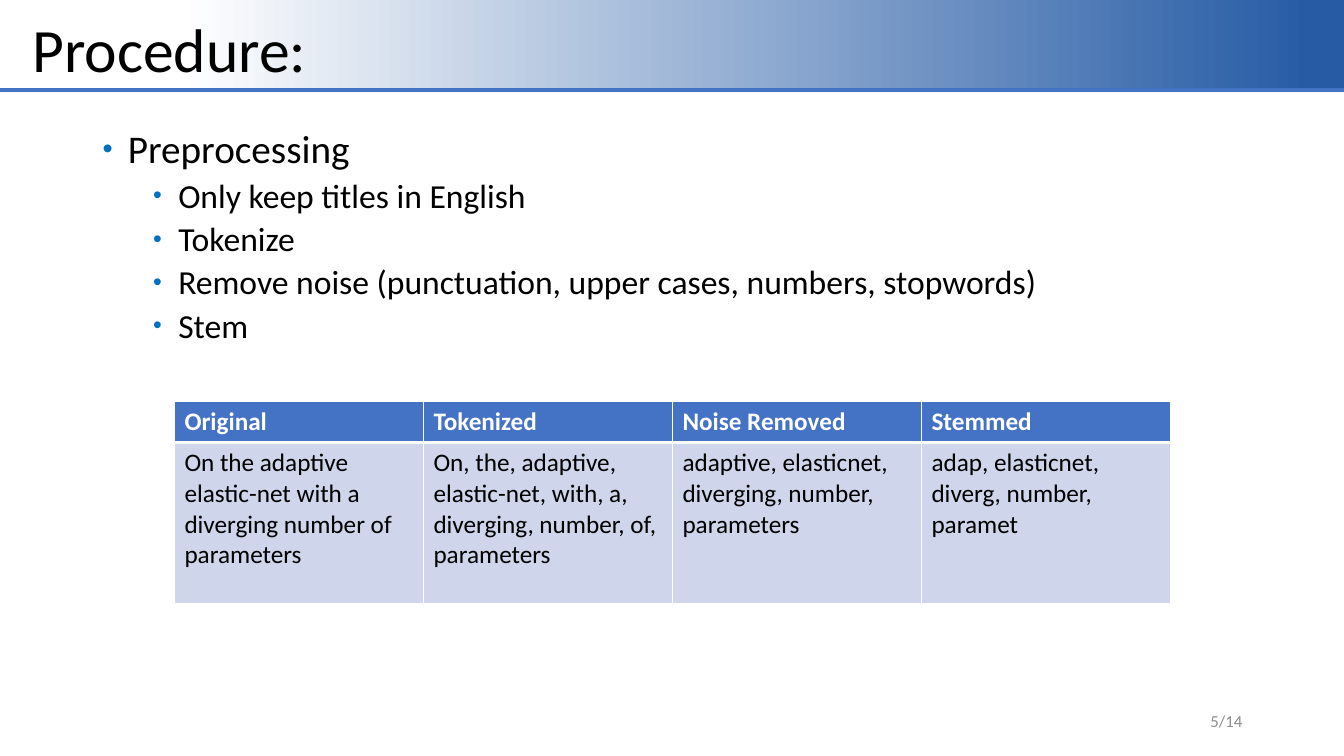
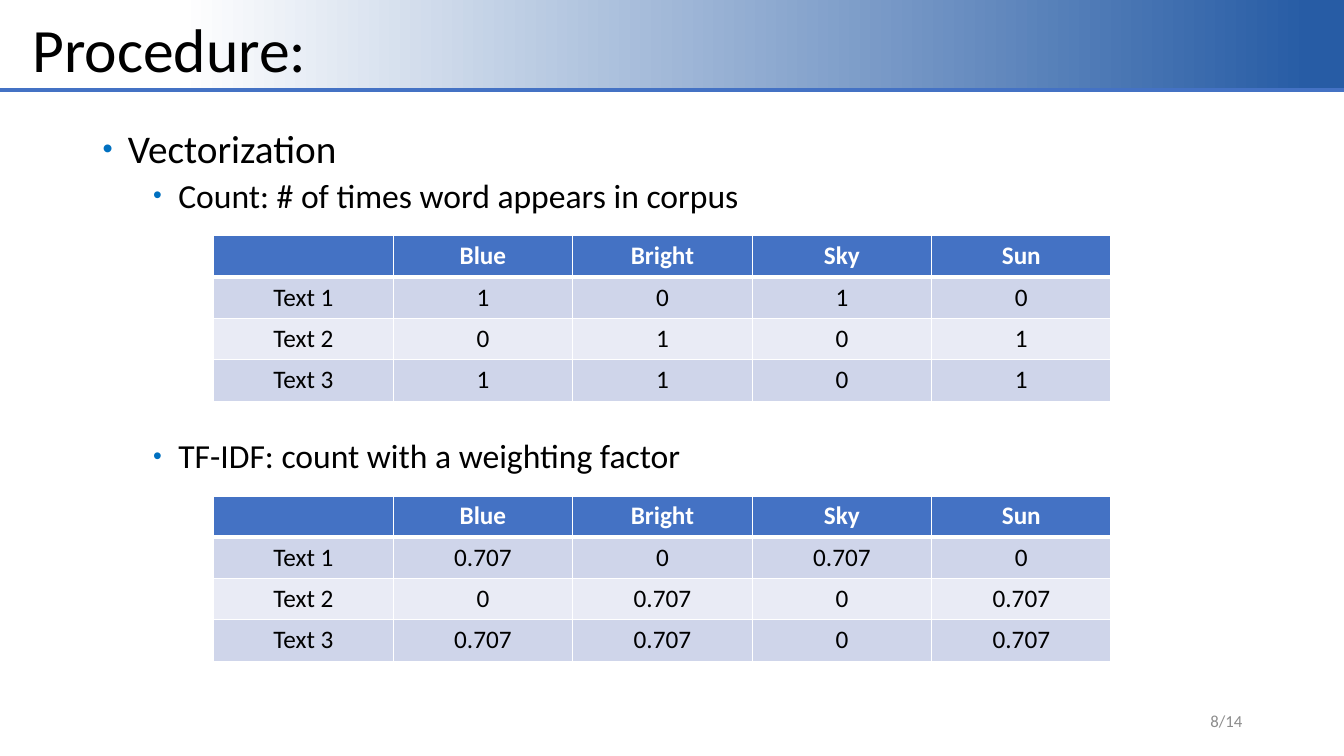
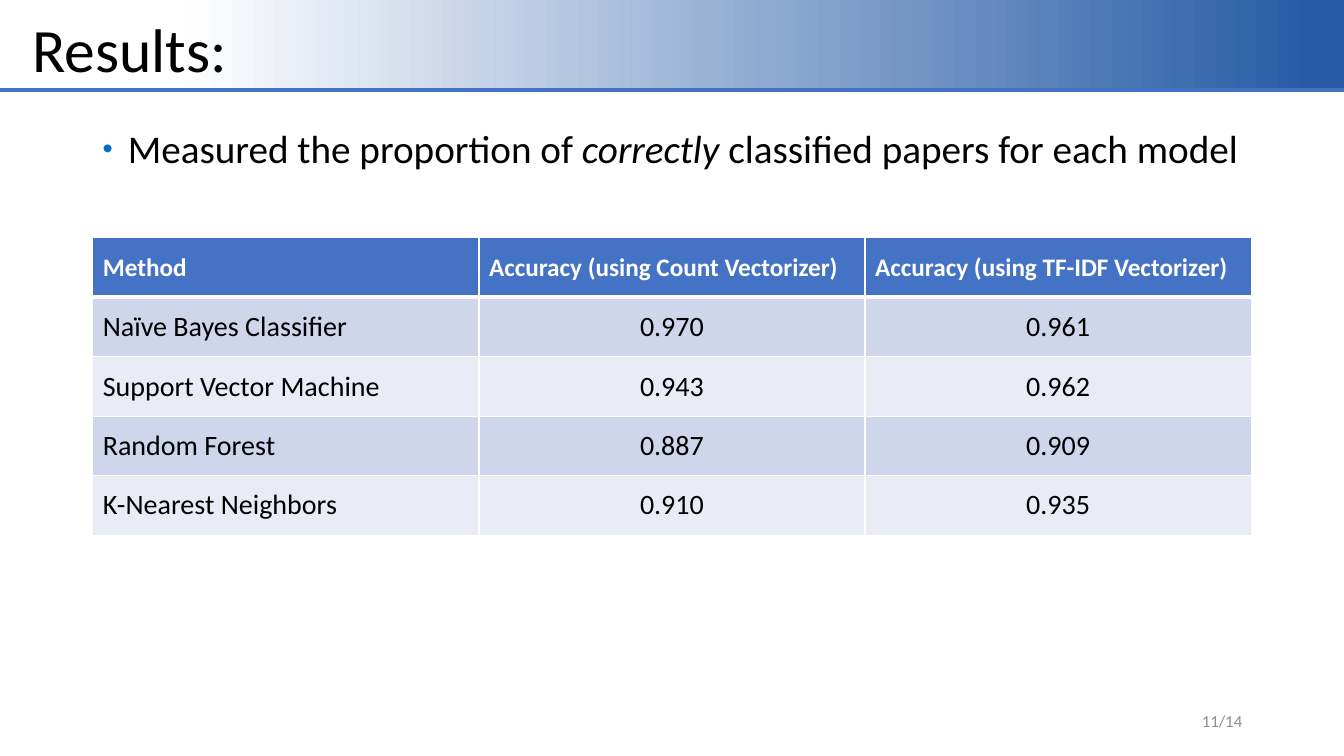
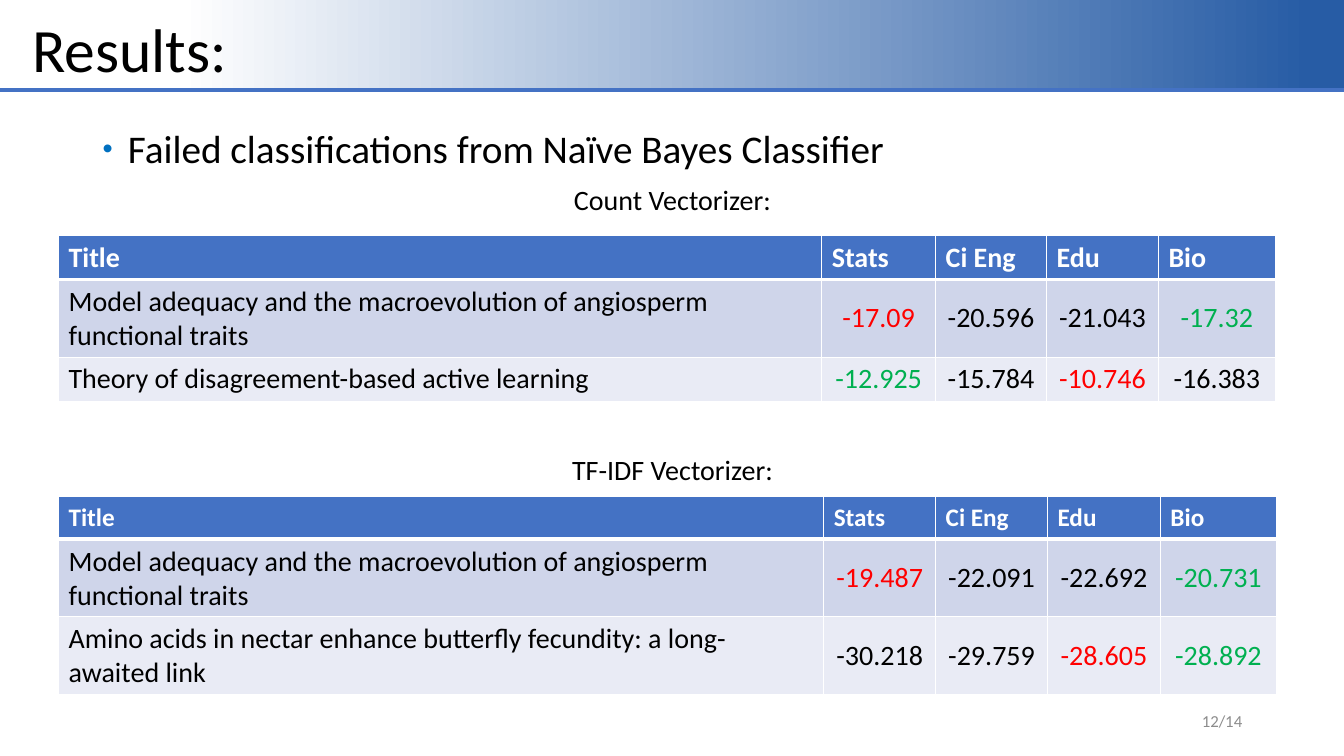
from dataclasses import dataclass, field

from lxml.etree import SubElement
from pptx import Presentation
from pptx.dml.color import RGBColor
from pptx.enum.shapes import MSO_CONNECTOR, MSO_SHAPE
from pptx.enum.text import MSO_ANCHOR, MSO_AUTO_SIZE, PP_ALIGN
from pptx.oxml.ns import qn
from pptx.presentation import Presentation as Deck
from pptx.slide import Slide
from pptx.table import _Cell as Cell
from pptx.text.text import _Paragraph as Para
from pptx.util import Inches, Pt


# Theme
@dataclass(frozen=True)
class Theme:
    font: str = "Calibri"
    black: str = "000000"
    white: str = "FFFFFF"
    grey: str = "8C8C8C"
    blue: str = "4472C4"
    navy: str = "275CA5"
    dot: str = "0070C0"
    dark: str = "CFD5EA"
    light: str = "E9EBF5"
    red: str = "FF0000"
    green: str = "00B050"
    title: int = 44
    top: int = 28
    sub: int = 24
    note: int = 20
    cell: int = 18
    page: int = 12


THEME = Theme()
WIDE, HIGH = 13.33, 7.5
PAGES = 14
LEFT, MID = PP_ALIGN.LEFT, PP_ALIGN.CENTER


# Content types
@dataclass(frozen=True)
class Line:
    """A body line; words between asterisks are italic."""
    text: str
    size: int = THEME.sub
    level: int = 1
    dot: bool = True
    gap: int = 5


@dataclass(frozen=True)
class Grid:
    left: float
    top: float
    cols: list[float]
    rows: list[float]
    cells: list[list[str]]
    head: int = THEME.cell
    size: int = THEME.cell
    first: PP_ALIGN = LEFT
    rest: PP_ALIGN = MID
    title: PP_ALIGN = LEFT
    anchor: MSO_ANCHOR = MSO_ANCHOR.MIDDLE
    marks: dict[tuple[int, int], str] = field(default_factory=dict)


@dataclass(frozen=True)
class Page:
    title: str
    number: int
    lines: list[Line]
    grids: list[Grid]


# Helpers
def rgb(code: str) -> RGBColor:
    return RGBColor.from_string(code)


def style(para: Para, size: int, color: str, bold: bool = False) -> None:
    font = para.font
    font.name, font.size, font.bold = THEME.font, Pt(size), bold
    font.color.rgb = rgb(color)


def bullet(para: Para, level: int) -> None:
    props = para._p.get_or_add_pPr()
    props.set("marL", str(Inches(0.25 + 0.5 * level)))
    props.set("indent", str(Inches(-0.25)))
    tint = SubElement(props, qn("a:buClr"))
    SubElement(tint, qn("a:srgbClr"), val=THEME.dot)
    SubElement(props, qn("a:buSzPct"), val="74000")
    SubElement(props, qn("a:buFont"), typeface="Arial")
    SubElement(props, qn("a:buChar"), char="•")


def border(cell: Cell, row: int) -> None:
    props = cell._tc.get_or_add_tcPr()
    thick = {"T": row == 1, "B": row == 0}
    for side in "LRTB":
        width = Pt(3 if thick.get(side) else 1)
        edge = SubElement(props, qn(f"a:ln{side}"), w=str(width))
        fill = SubElement(edge, qn("a:solidFill"))
        SubElement(fill, qn("a:srgbClr"), val=THEME.white)


# Slide parts
def draw_band(slide: Slide) -> None:
    band = slide.shapes.add_shape(
        MSO_SHAPE.RECTANGLE, Inches(1.79), 0, Inches(WIDE - 1.79), Inches(0.88))
    band.shadow.inherit = False
    band.line.fill.background()
    band.fill.gradient()
    band.fill.gradient_angle = 0
    stops = [(0, THEME.white), (0.97, THEME.navy)]
    for stop, (place, color) in zip(band.fill.gradient_stops, stops):
        stop.position = place
        stop.color.rgb = rgb(color)
    rule = slide.shapes.add_connector(
        MSO_CONNECTOR.STRAIGHT, 0, Inches(0.89), Inches(WIDE), Inches(0.89))
    rule.line.color.rgb = rgb(THEME.blue)
    rule.line.width = Pt(3)
    SubElement(rule._element.spPr, qn("a:effectLst"))


def draw_title(slide: Slide, text: str) -> None:
    title = slide.shapes.title
    title.left, title.top = Inches(0.22), Inches(-0.2)
    title.width, title.height = Inches(11.5), Inches(1.45)
    frame = title.text_frame
    frame.text = text
    frame.auto_size = MSO_AUTO_SIZE.NONE
    frame.vertical_anchor = MSO_ANCHOR.MIDDLE
    para = frame.paragraphs[0]
    para.alignment, para.line_spacing = LEFT, 0.9
    style(para, THEME.title, THEME.black)
    # Bring the title in front of the band
    title.element.getparent().append(title.element)


def draw_number(slide: Slide, number: int) -> None:
    box = slide.shapes.add_textbox(
        Inches(9.42), Inches(6.95), Inches(3), Inches(0.4))
    frame = box.text_frame
    frame.word_wrap = True
    frame.vertical_anchor = MSO_ANCHOR.MIDDLE
    para = frame.paragraphs[0]
    para.text = f"{number}/{PAGES}"
    para.alignment = PP_ALIGN.RIGHT
    style(para, THEME.page, THEME.grey)


def draw_body(slide: Slide, lines: list[Line]) -> None:
    box = slide.shapes.add_textbox(
        Inches(0.92), Inches(1.24), Inches(11.5), Inches(5.51))
    frame = box.text_frame
    frame.word_wrap = True
    for index, line in enumerate(lines):
        para = frame.add_paragraph() if index else frame.paragraphs[0]
        para.level = line.level
        para.line_spacing, para.space_before = 0.9, Pt(line.gap)
        if line.dot:
            bullet(para, line.level)
        else:
            para.alignment = MID
        style(para, line.size, THEME.black)
        for part, text in enumerate(line.text.split("*")):
            run = para.add_run()
            run.text = text
            if part % 2:
                run.font.italic = True


def draw_grid(slide: Slide, grid: Grid) -> None:
    table = slide.shapes.add_table(
        len(grid.rows), len(grid.cols), Inches(grid.left), Inches(grid.top),
        Inches(sum(grid.cols)), Inches(sum(grid.rows))).table
    for col, width in zip(table.columns, grid.cols):
        col.width = Inches(width)
    for row, height in zip(table.rows, grid.rows):
        row.height = Inches(height)
    for r, texts in enumerate(grid.cells):
        for c, text in enumerate(texts):
            cell = table.cell(r, c)
            border(cell, r)
            cell.fill.solid()
            cell.vertical_anchor = grid.anchor
            para = cell.text_frame.paragraphs[0]
            para.text = text
            if r == 0:
                fill, para.alignment = THEME.blue, grid.title
                style(para, grid.head, THEME.white, True)
            else:
                fill = THEME.dark if r % 2 else THEME.light
                para.alignment = grid.rest if c else grid.first
                style(para, grid.size, THEME.black)
            cell.fill.fore_color.rgb = rgb(fill)
            if (r, c) in grid.marks:
                para.runs[0].font.color.rgb = rgb(grid.marks[r, c])


def draw_page(deck: Deck, page: Page) -> None:
    slide = deck.slides.add_slide(deck.slide_layouts[5])
    draw_body(slide, page.lines)
    draw_band(slide)
    draw_title(slide, page.title)
    draw_number(slide, page.number)
    for grid in page.grids:
        draw_grid(slide, grid)


# Content
def head_line(text: str) -> Line:
    return Line(text, THEME.top, 0, gap=10)


def label(text: str, gap: int) -> Line:
    return Line(text, THEME.note, 0, False, gap)


def count_grid(top: float, hit: str) -> Grid:
    """Word weights per text, where each word found scores hit."""
    words = ["Blue", "Bright", "Sky", "Sun"]
    found = ["1010", "0101", "1101"]
    body = [[f"Text {n}"] + [hit if bit == "1" else "0" for bit in bits]
            for n, bits in enumerate(found, 1)]
    return Grid(2.12, top, [1.78] * 5, [0.41] * 4, [["", *words], *body],
                first=MID, title=MID, anchor=MSO_ANCHOR.TOP)


def score_grid(top: float, cols: list[float], rows: list[float], head: int,
               body: list[list[str]], marks: dict[tuple[int, int], str]) -> Grid:
    names = ["Title", "Stats", "Ci Eng", "Edu", "Bio"]
    return Grid(0.58, top, cols, rows, [names, *body], head, THEME.note,
                marks=marks)


MODEL = "Model adequacy and the macroevolution of angiosperm functional traits"

DECK = [
    Page("Procedure:", 5, [
        head_line("Preprocessing"),
        Line("Only keep titles in English"),
        Line("Tokenize"),
        Line("Remove noise (punctuation, upper cases, numbers, stopwords)"),
        Line("Stem"),
    ], [
        Grid(1.73, 3.98, [2.47] * 4, [0.41, 1.6], [
            ["Original", "Tokenized", "Noise Removed", "Stemmed"],
            ["On the adaptive elastic-net with a diverging number of parameters",
             "On, the, adaptive, elastic-net, with, a, diverging, number, of, "
             "parameters",
             "adaptive, elasticnet, diverging, number, parameters",
             "adap, elasticnet, diverg, number, paramet"],
        ], rest=LEFT, anchor=MSO_ANCHOR.TOP),
    ]),
    Page("Procedure:", 8, [
        head_line("Vectorization"),
        Line("Count: # of times word appears in corpus"),
        Line("TF-IDF: count with a weighting factor", gap=160),
    ], [count_grid(2.34, "1"), count_grid(4.92, "0.707")]),
    Page("Results:", 11, [
        head_line("Measured the proportion of *correctly* classified papers "
                  "for each model"),
    ], [
        Grid(0.92, 2.36, [3.83] * 3, [0.59] * 5, [
            ["Method", "Accuracy (using Count Vectorizer)",
             "Accuracy (using TF-IDF Vectorizer)"],
            ["Naïve Bayes Classifier", "0.970", "0.961"],
            ["Support Vector Machine", "0.943", "0.962"],
            ["Random Forest", "0.887", "0.909"],
            ["K-Nearest Neighbors", "0.910", "0.935"],
        ], size=THEME.note),
    ]),
    Page("Results:", 12, [
        head_line("Failed classifications from Naïve Bayes Classifier"),
        label("Count Vectorizer:", 10),
        label("TF-IDF Vectorizer:", 171),
    ], [
        score_grid(2.34, [7.57, 1.13, 1.1, 1.11, 1.16], [0.43, 0.77, 0.44],
                   THEME.note, [
            [MODEL, "-17.09", "-20.596", "-21.043", "-17.32"],
            ["Theory of disagreement-based active learning",
             "-12.925", "-15.784", "-10.746", "-16.383"],
        ], {(1, 1): THEME.red, (1, 4): THEME.green,
            (2, 1): THEME.green, (2, 3): THEME.red}),
        score_grid(4.92, [7.59, 1.11, 1.11, 1.12, 1.15], [0.43, 0.77, 0.77],
                   THEME.cell, [
            [MODEL, "-19.487", "-22.091", "-22.692", "-20.731"],
            ["Amino acids in nectar enhance butterfly fecundity: "
             "a long-awaited link",
             "-30.218", "-29.759", "-28.605", "-28.892"],
        ], {(1, 1): THEME.red, (1, 4): THEME.green,
            (2, 3): THEME.red, (2, 4): THEME.green}),
    ]),
]


def main() -> None:
    deck = Presentation()
    deck.slide_width, deck.slide_height = Inches(WIDE), Inches(HIGH)
    for page in DECK:
        draw_page(deck, page)
    deck.save("out.pptx")


if __name__ == "__main__":
    main()
